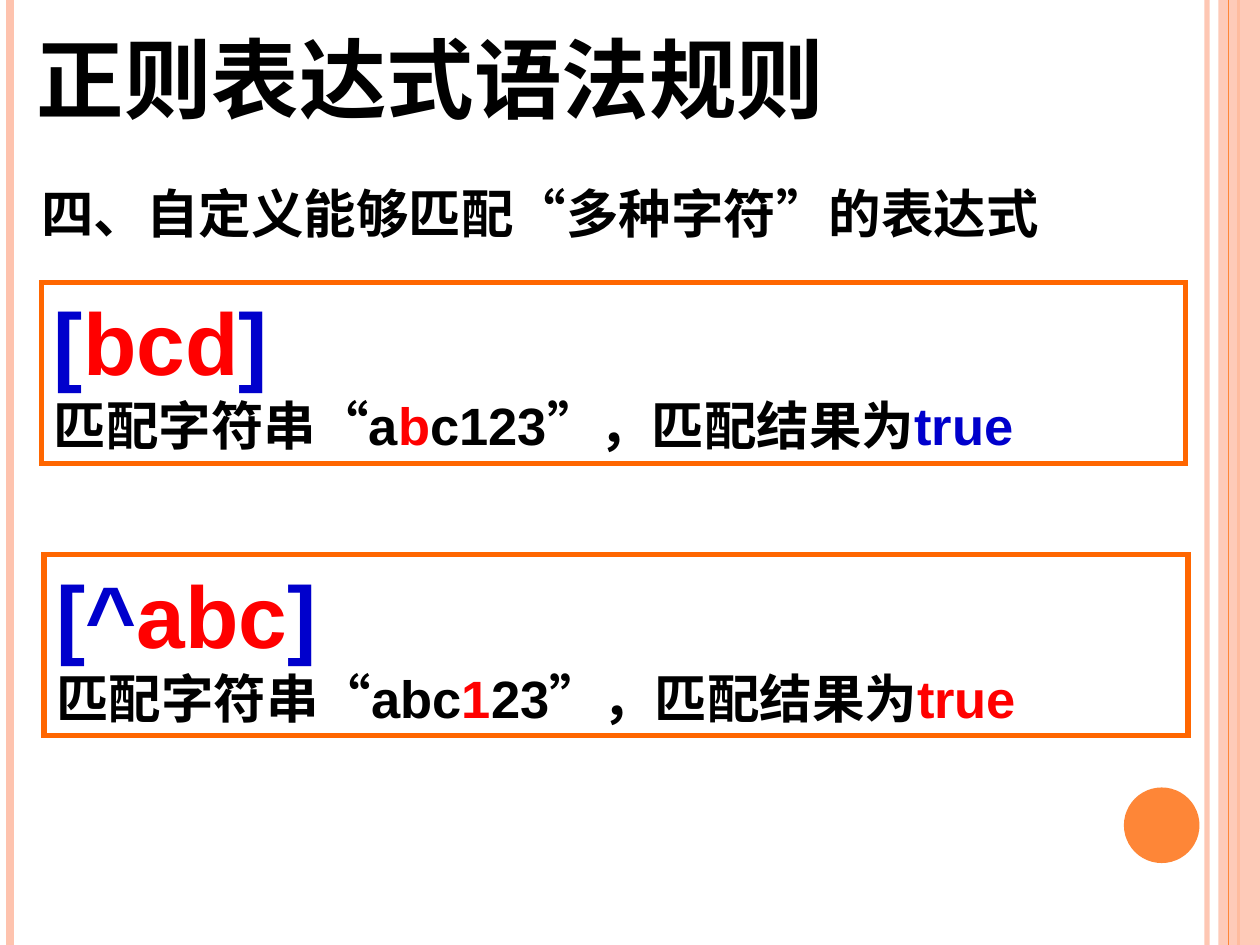
from lxml import etree
from pptx import Presentation
from pptx.dml.color import RGBColor
from pptx.enum.shapes import MSO_CONNECTOR, MSO_SHAPE
from pptx.enum.text import MSO_ANCHOR, MSO_AUTO_SIZE, PP_ALIGN
from pptx.oxml.ns import qn
from pptx.util import Inches, Pt

STRAIGHT = MSO_CONNECTOR.STRAIGHT
RECT, OVAL = MSO_SHAPE.RECTANGLE, MSO_SHAPE.OVAL
TOP, LEFT = MSO_ANCHOR.TOP, PP_ALIGN.LEFT
GROW = MSO_AUTO_SIZE.SHAPE_TO_FIT_TEXT

WHITE = RGBColor(0xFF, 0xFF, 0xFF)
BLACK = RGBColor(0x00, 0x00, 0x00)
BLUE = RGBColor(0x00, 0x00, 0xCC)
RED = RGBColor(0xFF, 0x00, 0x00)
FRAME = RGBColor(0xFF, 0x66, 0x00)
ORANGE = RGBColor(0xFE, 0x86, 0x37)
PEACH = RGBColor(0xFE, 0xC3, 0xAE)

HEAD_FONT, BODY_FONT = "TeX Gyre Schola", "Arial"
BIG, SMALL = Pt(50), Pt(30)
W, H = Inches(10), Inches(7.5)


def set_alpha(shape, percent):
    for color in shape._element.spPr.iter(qn("a:srgbClr")):
        etree.SubElement(color, qn("a:alpha")).set("val", str(percent * 1000))


def style_run(r, font, size, color):
    r.font.name, r.font.size, r.font.bold = font, size, True
    r.font.color.rgb = color


def add_rule(s, x, height, color, width):
    line = s.shapes.add_connector(STRAIGHT, x, 0, x, height)
    line.line.color.rgb = color
    line.line.width = Pt(width)
    etree.SubElement(line._element.spPr, qn("a:effectLst"))
    return line


def add_solid(s, kind, box, color):
    shape = s.shapes.add_shape(kind, *box)
    shape.shadow.inherit = False
    shape.fill.solid()
    shape.fill.fore_color.rgb = color
    shape.line.fill.background()
    return shape


def add_decor(s, w, h):
    set_alpha(add_rule(s, int(w * 0.958), h, PEACH, 3), 92)
    add_rule(s, int(w * 0.008), h, PEACH, 4.5)
    add_rule(s, int(w * 0.983), h, ORANGE, 1.5)
    band = int(w * 0.967)
    set_alpha(add_solid(s, RECT, (band, 0, w - band, h), PEACH), 87)
    add_rule(s, int(w * 0.975), h, ORANGE, 0.75)
    size = int(w * 0.06)
    add_solid(s, OVAL, (int(w * 0.892), h * 5 // 6, size, size), ORANGE)


def fill_heading(shape, box, text, size):
    shape.left, shape.top, shape.width, shape.height = box
    tf = shape.text_frame
    tf.text = text
    tf.word_wrap, tf.auto_size = True, GROW
    tf.vertical_anchor = TOP
    p = tf.paragraphs[0]
    p.alignment = LEFT
    style_run(p.runs[0], HEAD_FONT, size, BLACK)


def add_example(s, box, pattern, result):
    shape = s.shapes.add_shape(RECT, *box)
    shape.shadow.inherit = False
    shape.fill.background()
    shape.line.color.rgb = FRAME
    shape.line.width = Pt(3)
    ln = shape._element.spPr.find(qn("a:ln"))
    etree.SubElement(ln, qn("a:miter")).set("lim", "800000")
    tf = shape.text_frame
    tf.word_wrap, tf.auto_size = True, GROW
    tf.vertical_anchor = TOP
    paragraphs = (tf.paragraphs[0], tf.add_paragraph())
    for p, parts, size in zip(paragraphs, (pattern, result), (BIG, SMALL)):
        p.alignment = LEFT
        for text, color in parts:
            r = p.add_run()
            r.text = text
            style_run(r, BODY_FONT, size, color)


def main():
    prs = Presentation()
    prs.slide_width, prs.slide_height = W, H
    s = prs.slides.add_slide(prs.slide_layouts[5])
    s.background.fill.solid()
    s.background.fill.fore_color.rgb = WHITE
    add_decor(s, W, H)

    title_box = [Inches(v) for v in (0.19, 0.15, 6.7, 0.94)]
    fill_heading(s.shapes.title, title_box, "正则表达式语法规则", BIG)
    topic_box = [Inches(v) for v in (0.23, 1.39, 8.98, 0.6)]
    fill_heading(s.shapes.add_textbox(*topic_box), topic_box,
                 "四、自定义能够匹配“多种字符”的表达式", SMALL)

    examples = (
        (0.33, 2.24,
         [("[", BLUE), ("bcd", RED), ("]", BLUE)],
         [("匹配字符串“a", BLACK), ("b", RED),
          ("c123”，匹配结果为", BLACK), ("true", BLUE)]),
        (0.35, 4.4,
         [("[^", BLUE), ("abc", RED), ("]", BLUE)],
         [("匹配字符串“abc", BLACK), ("1", RED),
          ("23”，匹配结果为", BLACK), ("true", RED)]),
    )
    for x, y, pattern, result in examples:
        box = [Inches(v) for v in (x, y, 9.08, 1.44)]
        add_example(s, box, pattern, result)

    prs.save("out.pptx")


if __name__ == "__main__":
    main()
